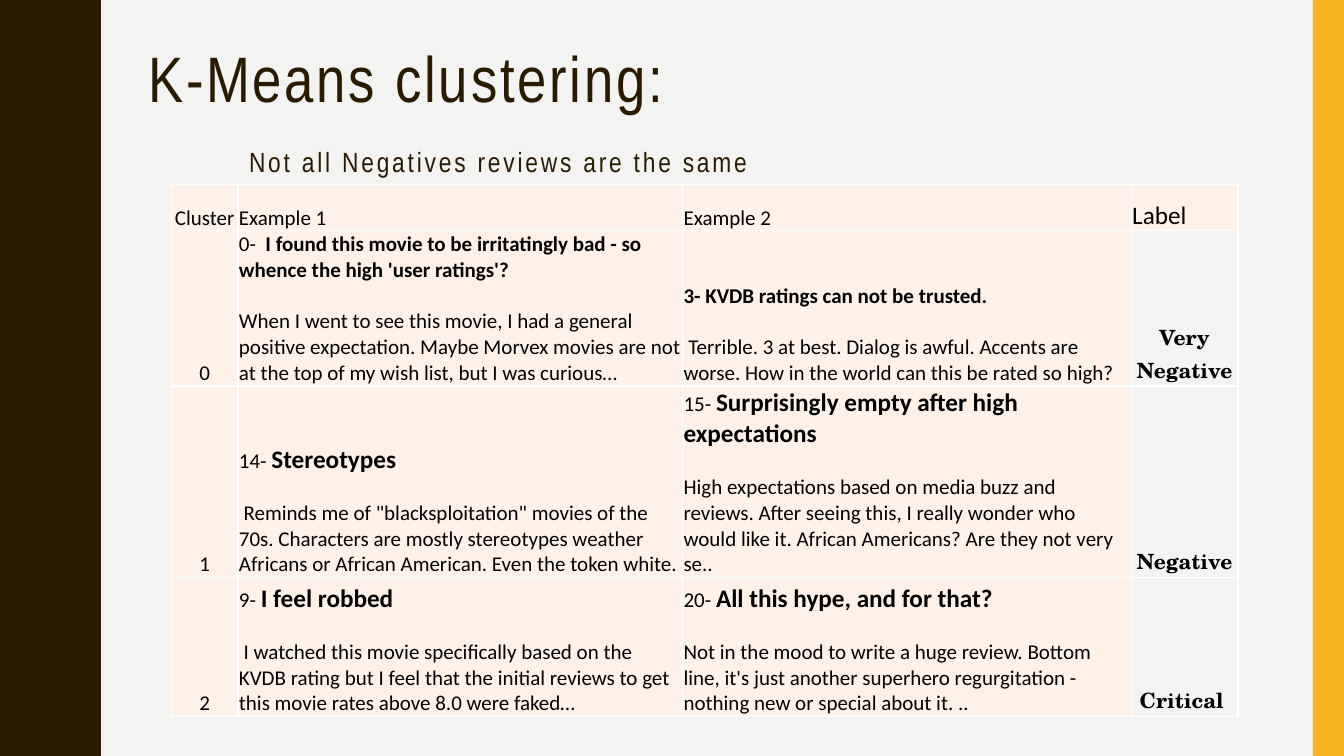
from lxml import etree
from pptx import Presentation
from pptx import util as u
from pptx.dml.color import RGBColor
from pptx.enum import shapes, text
from pptx.oxml.ns import qn

Inches, Pt = u.Inches, u.Pt
BROWN, GOLD, PAPER, CREAM = "2A1A00", "F8B323", "F3F3F2", "FEF2E8"
BLACK, WHITE = "000000", "FFFFFF"
LEFT, CENTER = text.PP_ALIGN.LEFT, text.PP_ALIGN.CENTER

# One bulge of the wavy edge, top to middle: (distance down, distance across)
WAVE_HEIGHT = 1.5
WAVE = [(0, 0.78), (0.07, 0.78), (0.14, 0.79), (0.2, 0.8), (0.25, 0.81),
        (0.29, 0.83), (0.33, 0.85), (0.38, 0.87), (0.42, 0.89), (0.46, 0.91),
        (0.5, 0.93), (0.55, 0.95), (0.61, 0.96), (0.68, 0.97), (0.75, 0.97)]

COLUMN_WIDTHS = [0.66, 4.41, 4.45, 1.06]
ROW_HEIGHTS = [0.46, 1.54, 1.9, 1.38]
HEADINGS = [("Cluster", 15, CENTER), ("Example 1", 15, LEFT),
            ("Example 2", 15, LEFT), ("Label", 18, LEFT)]
# Each cluster: number, two reviews (prefix, headline, body), label, headline size
CLUSTERS = [
    ("0",
     ("0-  ", "I found this movie to be irritatingly bad - so whence the high "
      "'user ratings'?",
      "When I went to see this movie, I had a general positive expectation. "
      "Maybe Morvex movies are not at the top of my wish list, but I was curious…"),
     ("", "3- KVDB ratings can not be trusted.",
      " Terrible. 3 at best. Dialog is awful. Accents are worse. How in the "
      "world can this be rated so high?"),
     "Very Negative", 15),
    ("1",
     ("14- ", "Stereotypes",
      " Reminds me of \"blacksploitation\" movies of the 70s. Characters are "
      "mostly stereotypes weather Africans or African American. Even the token "
      "white."),
     ("15- ", "Surprisingly empty after high expectations",
      "High expectations based on media buzz and reviews. After seeing this, I "
      "really wonder who would like it. African Americans? Are they not very se.."),
     "Negative", 18),
    ("2",
     ("9- ", "I feel robbed",
      " I watched this movie specifically based on the KVDB rating but I feel "
      "that the initial reviews to get this movie rates above 8.0 were faked…"),
     ("20- ", "All this hype, and for that?",
      "Not in the mood to write a huge review. Bottom line, it's just another "
      "superhero regurgitation - nothing new or special about it. .."),
     "Critical ", 18),
]


def color(value):
    return RGBColor.from_string(value)


def paint(shape, value):
    shape.shadow.inherit = False
    shape.fill.solid()
    shape.fill.fore_color.rgb = color(value)
    shape.line.fill.background()


def set_font(font, name, size, value, bold=False):
    font.name, font.size, font.bold = name, Pt(size), bold
    font.color.rgb = color(value)


def add_wavy_band(slide, left, top, height):
    edge = []
    for bulge in range(round(height / WAVE_HEIGHT)):
        start = top + bulge * WAVE_HEIGHT
        edge += [(left + x, start + y) for y, x in WAVE]
        edge += [(left + x, start + WAVE_HEIGHT - y) for y, x in WAVE[-2::-1]]
    builder = slide.shapes.build_freeform(left, top, scale=Inches(1))
    builder.add_line_segments(edge + [(left, top + height)], close=True)
    paint(builder.convert_to_shape(), BROWN)


def add_stripe(slide, left, top, width, height):
    stripe = slide.shapes.add_shape(
        shapes.MSO_SHAPE.RECTANGLE, Inches(left), Inches(top),
        Inches(width), Inches(height))
    paint(stripe, GOLD)


def add_title(slide, left, top, width, height):
    title = slide.shapes.title
    title.left, title.top = Inches(left), Inches(top)
    title.width, title.height = Inches(width), Inches(height)
    frame = title.text_frame
    frame.word_wrap = True
    frame.auto_size = text.MSO_AUTO_SIZE.NONE
    frame.vertical_anchor = text.MSO_ANCHOR.TOP
    frame.text = "K-Means clustering:\nNot all Negatives reviews are the same"
    for paragraph, size in zip(frame.paragraphs, (45.9, 19.8)):
        paragraph.alignment = LEFT
        paragraph.line_spacing = 0.9
        set_font(paragraph.font, "Arial Narrow", size, BROWN)
        for run in paragraph.runs:
            run.font._element.set("spc", "200")
    # The subtitle is indented and set off below the heading
    subtitle = frame.paragraphs[1]
    subtitle.space_before = Pt(23)
    subtitle._p.get_or_add_pPr().set("marL", str(Inches(1)))


def format_cell(cell, fill):
    cell.margin_left = cell.margin_right = cell.margin_top = Inches(0.01)
    cell.margin_bottom = 0
    cell.vertical_anchor = text.MSO_ANCHOR.BOTTOM
    properties = cell._tc.get_or_add_tcPr()
    for side in ("a:lnL", "a:lnR", "a:lnT", "a:lnB"):
        border = etree.SubElement(properties, qn(side), w=str(Pt(1)))
        solid = etree.SubElement(border, qn("a:solidFill"))
        etree.SubElement(solid, qn("a:srgbClr"), val=WHITE)
    if fill:
        cell.fill.solid()
        cell.fill.fore_color.rgb = color(fill)
    else:
        cell.fill.background()


def fill_cell(cell, words, size=15, alignment=CENTER, name="Calibri",
              bold=False, fill=CREAM):
    format_cell(cell, fill)
    paragraph = cell.text_frame.paragraphs[0]
    paragraph.text = words
    paragraph.alignment = alignment
    set_font(paragraph.font, name, size, BLACK, bold)


def fill_review(cell, review, headline_size):
    prefix, headline, body = review
    fill_cell(cell, prefix, alignment=LEFT)
    run = cell.text_frame.paragraphs[0].add_run()
    run.text = headline
    run.font.size, run.font.bold = Pt(headline_size), True
    paragraph = cell.text_frame.add_paragraph()
    paragraph.text = body
    paragraph.space_before = Pt(18.3)
    set_font(paragraph.font, "Calibri", 15, BLACK)


def add_cluster_table(slide, left, top):
    table = slide.shapes.add_table(
        len(ROW_HEIGHTS), len(COLUMN_WIDTHS), Inches(left), Inches(top),
        Inches(sum(COLUMN_WIDTHS)), Inches(sum(ROW_HEIGHTS))).table
    table.first_row = table.horz_banding = False
    for column, width in zip(table.columns, COLUMN_WIDTHS):
        column.width = Inches(width)
    for row, height in zip(table.rows, ROW_HEIGHTS):
        row.height = Inches(height)
    for index, heading in enumerate(HEADINGS):
        fill_cell(table.cell(0, index), *heading)
    for index, cluster in enumerate(CLUSTERS, start=1):
        number, first, second, label, headline_size = cluster
        fill_cell(table.cell(index, 0), number)
        fill_review(table.cell(index, 1), first, headline_size)
        fill_review(table.cell(index, 2), second, headline_size)
        fill_cell(table.cell(index, 3), label, name="TeX Gyre Schola",
                  bold=True, fill=None)


def main():
    presentation = Presentation()
    presentation.slide_width = Inches(13.33)
    presentation.slide_height = Inches(7.5)
    slide = presentation.slides.add_slide(presentation.slide_layouts[5])
    slide.background.fill.solid()
    slide.background.fill.fore_color.rgb = color(PAPER)
    # Side decorations
    add_wavy_band(slide, 0, 0, 7.5)
    add_stripe(slide, 13.02, 0, 0.31, 7.5)
    # Content
    add_title(slide, 1.37, 0.42, 11.04, 0.93)
    add_cluster_table(slide, 1.7, 1.83)
    presentation.save("out.pptx")


if __name__ == "__main__":
    main()
